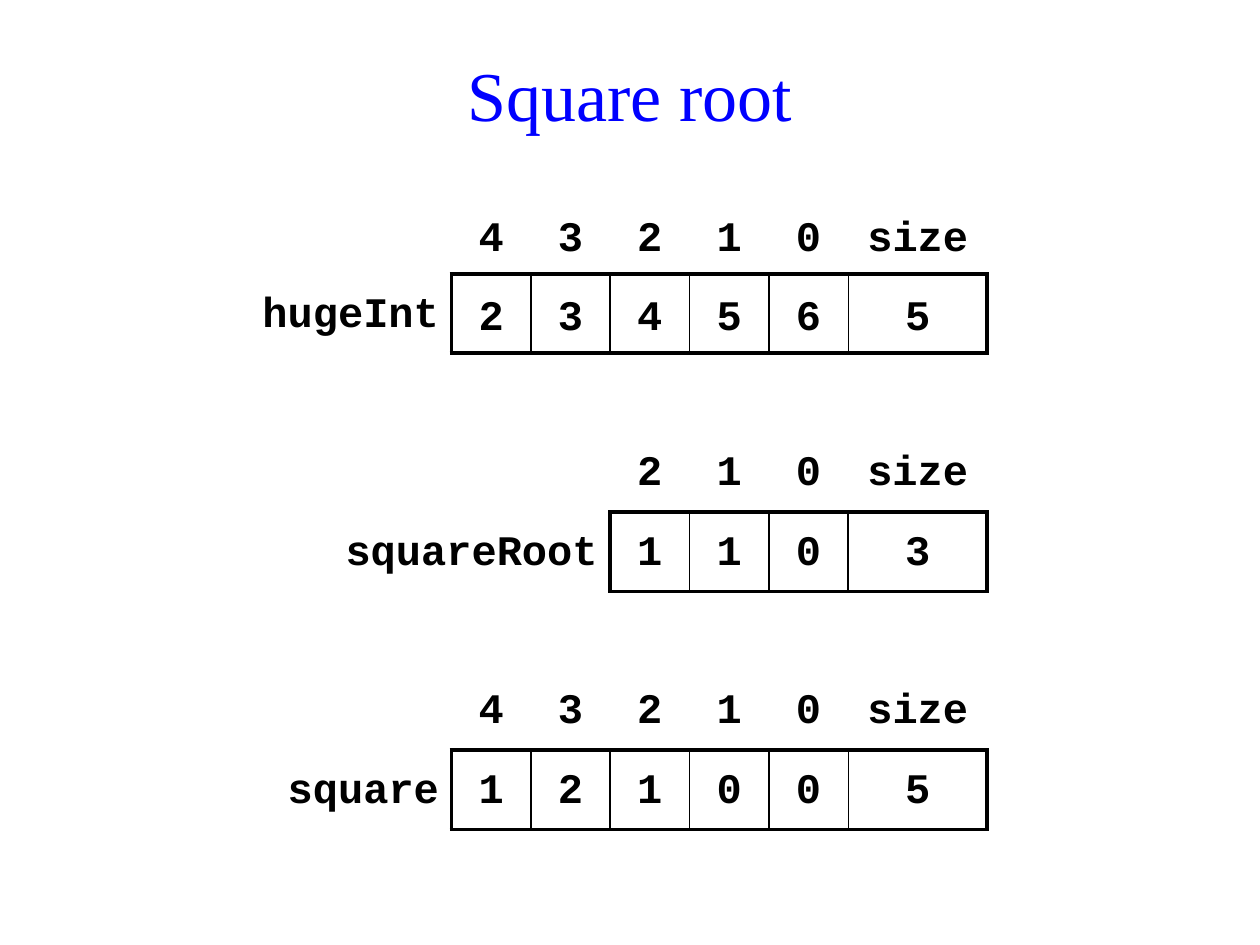
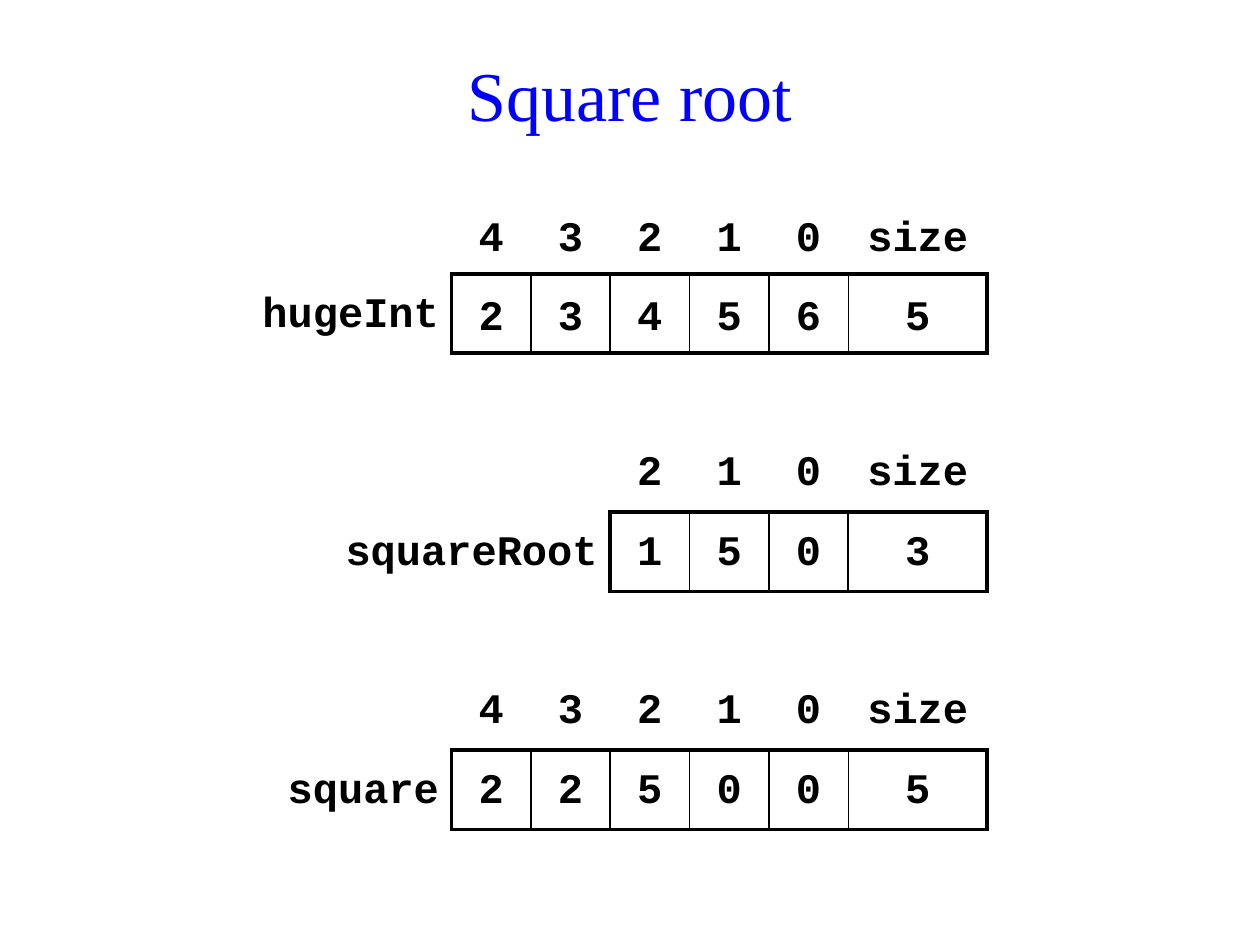
from lxml.etree import SubElement
from pptx import Presentation
from pptx.dml.color import RGBColor
from pptx.enum.text import MSO_ANCHOR, PP_ALIGN
from pptx.oxml.ns import qn
from pptx.util import Cm, Pt

BLUE = RGBColor(0x00, 0x00, 0xFF)
BLACK = RGBColor(0x00, 0x00, 0x00)
THICK = Pt(2.25)
THIN = Pt(1)
NO_STYLE = "{2D5ABB26-0587-4C30-8999-92F81FD0307C}"

RIGHT = 19.9
TOP = 3.92
STEP = 4.8
SIDE = 1.6
SIZE_W = 2.8


def add_text(frame, text, font, size, color, align):
    para = frame.paragraphs[0]
    para.alignment = align
    run = para.add_run()
    run.text = text
    run.font.name = font
    run.font.size = Pt(size)
    run.font.color.rgb = color
    return para, run


def add_edges(cell, edges):
    props = cell._tc.get_or_add_tcPr()
    for edge in "LRTB":
        line = SubElement(props, qn("a:ln" + edge), w=str(edges.get(edge, 0)))
        if edge in edges:
            fill = SubElement(line, qn("a:solidFill"))
            SubElement(fill, qn("a:srgbClr"), val=str(BLACK))
        else:
            SubElement(line, qn("a:noFill"))


deck = Presentation()
deck.slide_width = Cm(25.4)
deck.slide_height = Cm(19.05)

names = [("hugeInt", 4.4), ("squareRoot", 5.6), ("square", 3.6)]
steps = [("23456", "110", "12100"), ("23456", "150", "22500")]

for step in steps:
    slide = deck.slides.add_slide(deck.slide_layouts[6])
    title = slide.shapes.add_textbox(Cm(1.5), Cm(0.71), Cm(22.4), Cm(2.36))
    frame = title.text_frame
    frame.word_wrap = True
    frame.vertical_anchor = MSO_ANCHOR.MIDDLE
    add_text(frame, "Square root", "Times New Roman", 40, BLUE, PP_ALIGN.CENTER)

    for row, ((name, name_w), digits) in enumerate(zip(names, step)):
        count = len(digits)
        widths = [name_w] + [SIDE] * count + [SIZE_W]
        heads = [""] + [str(place) for place in reversed(range(count))] + ["size"]
        values = [name, *digits, str(count)]
        total = sum(widths)
        grid = slide.shapes.add_table(
            2, len(widths), Cm(RIGHT - total), Cm(TOP + row * STEP), Cm(total), Cm(2 * SIDE)
        ).table
        grid.first_row = False
        grid.horz_banding = False
        grid._tbl.tblPr.find(qn("a:tableStyleId")).text = NO_STYLE
        for line in grid.rows:
            line.height = Cm(SIDE)

        for col, width in enumerate(widths):
            grid.columns[col].width = Cm(width)
            for level, text in enumerate((heads[col], values[col])):
                cell = grid.cell(level, col)
                if col == 0:
                    edges = {"R": THICK} if level else {}
                elif level == 0:
                    edges = {"B": THICK}
                else:
                    edges = {
                        "L": THICK if col == 1 else THIN,
                        "R": THICK if col == count + 1 else THIN,
                        "T": THICK,
                        "B": THICK,
                    }
                add_edges(cell, edges)
                cell.fill.background()
                centred = row == 0 and col > 0
                cell.vertical_anchor = MSO_ANCHOR.MIDDLE if centred else MSO_ANCHOR.TOP
                if text:
                    align = PP_ALIGN.CENTER if col else PP_ALIGN.RIGHT
                    para, run = add_text(cell.text_frame, text, "Courier New", 24, BLACK, align)
                    para.line_spacing = 1.25
                    run.font.bold = True

deck.save("out.pptx")
